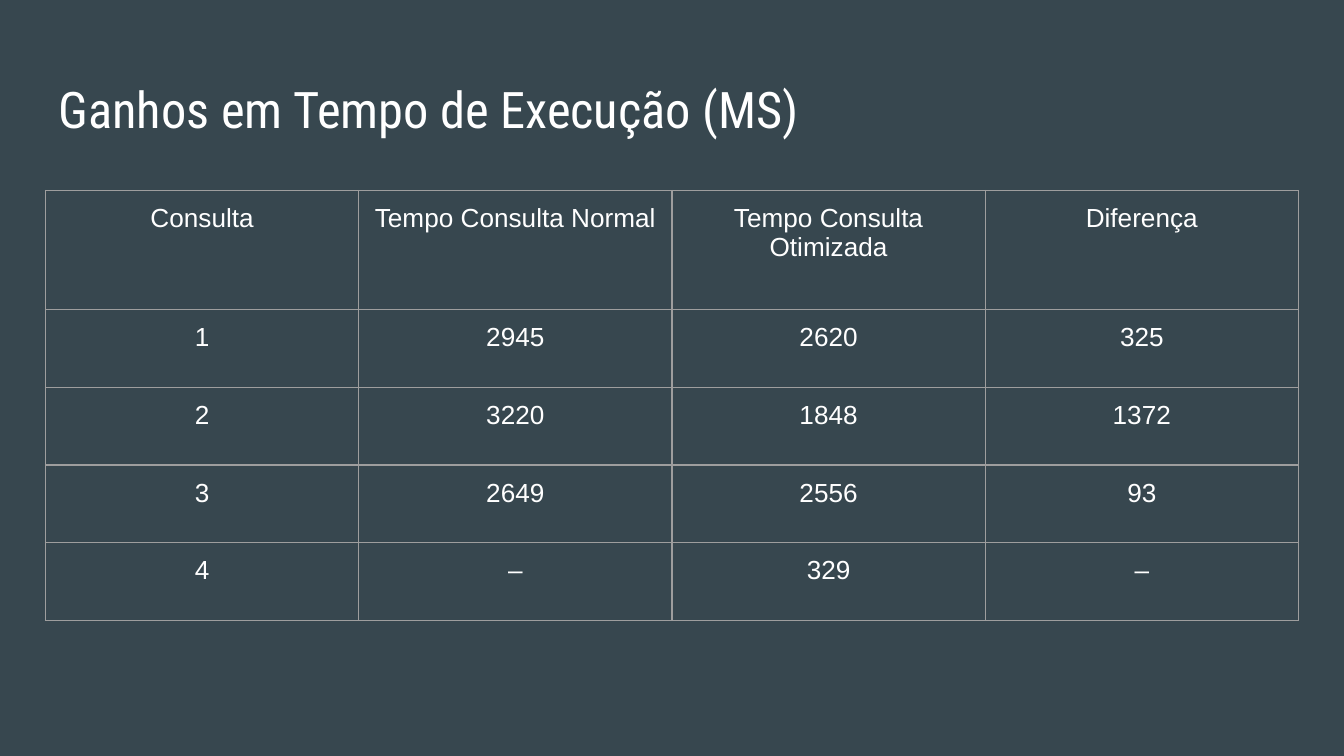
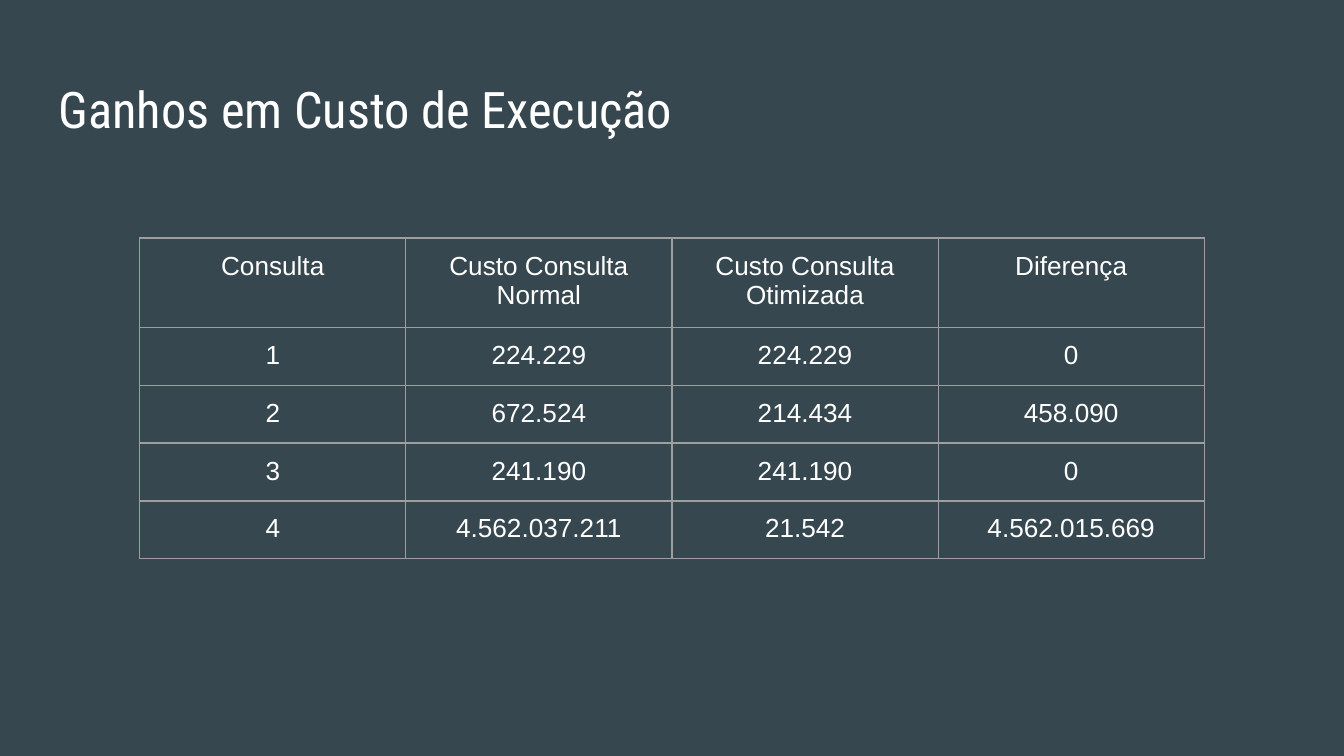
from dataclasses import dataclass

from lxml.etree import SubElement
from pptx import Presentation
from pptx.dml.color import RGBColor
from pptx.enum.text import MSO_ANCHOR, PP_ALIGN
from pptx.oxml.ns import qn
from pptx.slide import Slide
from pptx.table import _Cell
from pptx.text.text import TextFrame
from pptx.util import Cm, Pt

BACKGROUND = "37474F"
WHITE = "FFFFFF"
GRID = "9E9E9E"
TITLE_FONT = "Roboto Condensed"
BODY_FONT = "Arial"
PADDING = Cm(0.25)


@dataclass(frozen=True)
class Comparison:
    """A slide comparing normal and optimised queries; lengths in cm."""

    title: str
    left: float
    top: float
    column_width: float
    header_height: float
    row_height: float
    rows: tuple[tuple[str, ...], ...]


COMPARISONS = (
    Comparison(
        "Ganhos em Tempo de Execução (MS)", 0.86, 3.6, 5.92, 2.25, 1.47,
        (
            ("Consulta", "Tempo Consulta Normal", "Tempo Consulta Otimizada", "Diferença"),
            ("1", "2945", "2620", "325"),
            ("2", "3220", "1848", "1372"),
            ("3", "2649", "2556", "93"),
            ("4", "–", "329", "–"),
        ),
    ),
    Comparison(
        "Ganhos em Custo de Execução", 2.64, 4.5, 5.03, 1.06, 1.06,
        (
            ("Consulta", "Custo Consulta Normal", "Custo Consulta Otimizada", "Diferença"),
            ("1", "224.229", "224.229", "0"),
            ("2", "672.524", "214.434", "458.090"),
            ("3", "241.190", "241.190", "0"),
            ("4", "4.562.037.211", "21.542", "4.562.015.669"),
        ),
    ),
)


def color(value: str) -> RGBColor:
    """Turn a hex string into a colour."""
    return RGBColor.from_string(value)


def write(frame: TextFrame, text: str, *, size: float = 14, font: str = BODY_FONT,
          fill: str = WHITE, align: PP_ALIGN = PP_ALIGN.CENTER) -> None:
    """Put formatted text with even padding into a frame."""
    frame.word_wrap = True
    paragraph = frame.paragraphs[0]
    paragraph.alignment = align
    run = paragraph.add_run()
    run.text = text
    run.font.size = Pt(size)
    run.font.name = font
    run.font.bold = False
    run.font.color.rgb = color(fill)


def pad(box: TextFrame | _Cell) -> None:
    """Give a frame or cell the shared inner margins."""
    box.margin_left = box.margin_right = PADDING
    box.margin_top = box.margin_bottom = PADDING


def outline(cell: _Cell) -> None:
    """Draw a thin line on all four sides of a cell."""
    properties = cell._tc.get_or_add_tcPr()
    for side in ("L", "R", "T", "B"):
        line = SubElement(properties, qn(f"a:ln{side}"), w=str(Pt(0.75)))
        solid = SubElement(line, qn("a:solidFill"))
        SubElement(solid, qn("a:srgbClr"), val=GRID)


def add_title(slide: Slide, text: str) -> None:
    """Add the slide heading."""
    heading = slide.shapes.add_textbox(Cm(0.86), Cm(1.24), Cm(23.67), Cm(1.6)).text_frame
    pad(heading)
    heading.vertical_anchor = MSO_ANCHOR.MIDDLE
    write(heading, text, size=27, font=TITLE_FONT, align=PP_ALIGN.LEFT)


def add_results(slide: Slide, data: Comparison) -> None:
    """Add the table of measured results."""
    row_count, column_count = len(data.rows), len(data.rows[0])
    heights = [data.header_height] + [data.row_height] * (row_count - 1)
    results = slide.shapes.add_table(
        row_count, column_count, Cm(data.left), Cm(data.top),
        Cm(data.column_width * column_count), Cm(sum(heights)),
    ).table
    results.first_row = results.horz_banding = False
    for column in results.columns:
        column.width = Cm(data.column_width)
    for row, height, values in zip(results.rows, heights, data.rows):
        row.height = Cm(height)
        for cell, value in zip(row.cells, values):
            pad(cell)
            outline(cell)
            cell.fill.background()
            write(cell.text_frame, value)


def main() -> None:
    """Build and save the presentation."""
    deck = Presentation()
    deck.slide_width, deck.slide_height = Cm(25.4), Cm(14.29)
    for data in COMPARISONS:
        slide = deck.slides.add_slide(deck.slide_layouts[6])
        slide.background.fill.solid()
        slide.background.fill.fore_color.rgb = color(BACKGROUND)
        add_title(slide, data.title)
        add_results(slide, data)
    deck.save("out.pptx")


if __name__ == "__main__":
    main()
